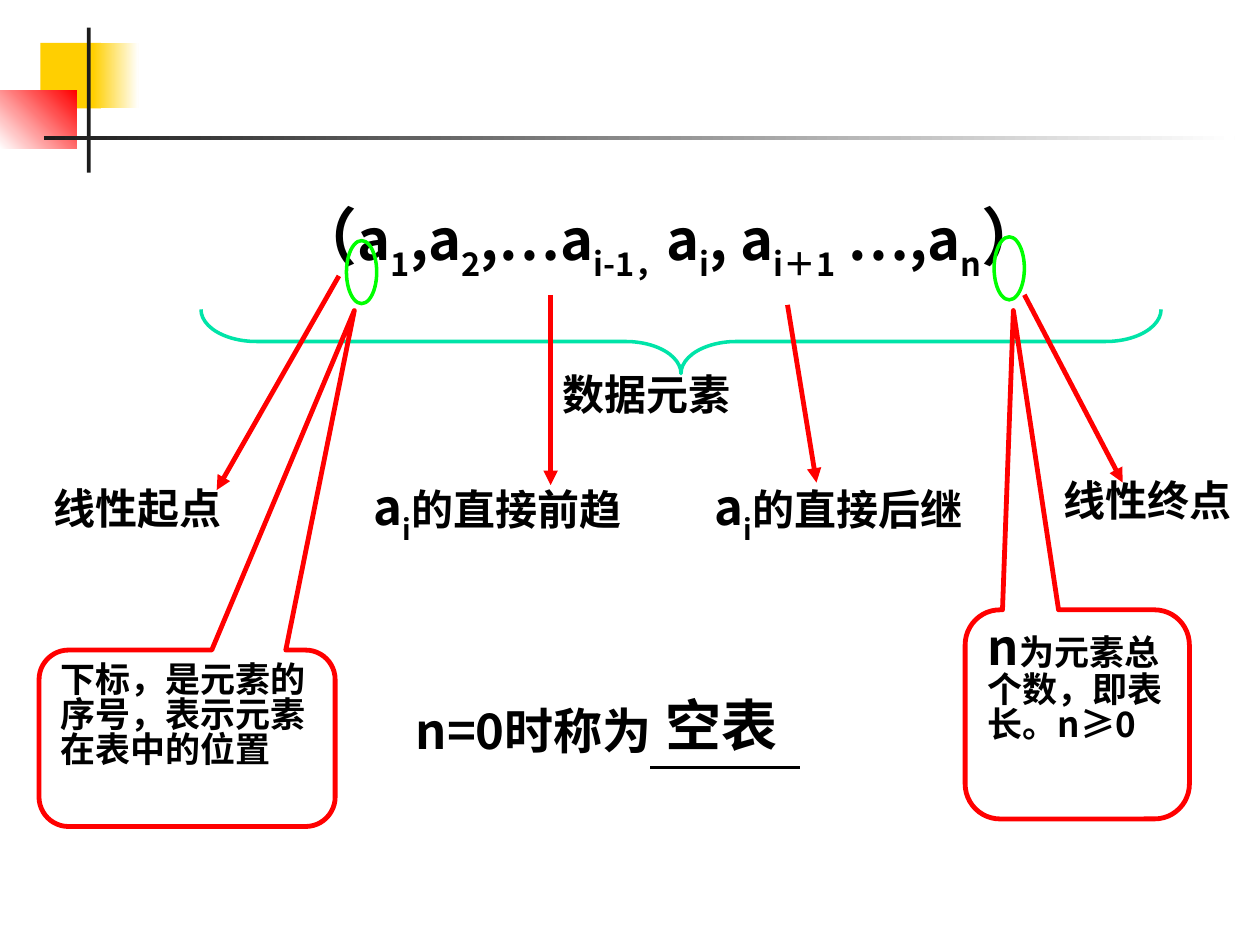
from dataclasses import dataclass

from pptx import Presentation
from pptx.dml.color import RGBColor
from pptx.enum.shapes import MSO_CONNECTOR, MSO_SHAPE
from pptx.enum.text import MSO_ANCHOR, PP_ALIGN
from pptx.oxml.ns import qn
from pptx.util import Inches, Pt

RECT = MSO_SHAPE.RECTANGLE
OVAL = MSO_SHAPE.OVAL
BRACE = MSO_SHAPE.LEFT_BRACE
CALLOUT = MSO_SHAPE.ROUNDED_RECTANGULAR_CALLOUT
STRAIGHT = MSO_CONNECTOR.STRAIGHT
TOP, MIDDLE = MSO_ANCHOR.TOP, MSO_ANCHOR.MIDDLE
LEFT, CENTER = PP_ALIGN.LEFT, PP_ALIGN.CENTER


@dataclass(frozen=True)
class Theme:
    """Colours, font and type sizes of the slide."""
    font: str = "Noto Sans CJK SC"
    text: str = "000000"
    dark: str = "1C1C1C"
    white: str = "FFFFFF"
    yellow: str = "FFCF01"
    red: str = "FF0000"
    green: str = "00FF00"
    teal: str = "00E4A8"
    paren: int = 36
    formula: int = 32
    large: int = 28
    label: int = 24
    note: int = 20
    spacing: float = 0.83


T = Theme()


def rgb(value):
    """Turn a hex string into a colour."""
    return RGBColor.from_string(value)


def write(sp, runs, align=CENTER, anchor=MIDDLE):
    """Fill a shape with one paragraph of (text, size, is_subscript) runs."""
    tf = sp.text_frame
    for name, value in {"word_wrap": True, "vertical_anchor": anchor}.items():
        setattr(tf, name, value)
    p = tf.paragraphs[0]
    for name, value in {"alignment": align, "line_spacing": T.spacing}.items():
        setattr(p, name, value)
    for text, size, sub in runs:
        r = p.add_run()
        r.text = text
        for name, value in {"name": T.font, "size": Pt(size), "bold": True}.items():
            setattr(r.font, name, value)
        r.font.color.rgb = rgb(T.text)
        rPr = r.font._element
        ea = rPr.makeelement(qn("a:ea"), {"typeface": T.font})
        rPr.find(qn("a:latin")).addnext(ea)
        if sub:
            rPr.set("baseline", "-30000")


def add_text(slide, box, runs, anchor=MIDDLE):
    """Add a centred text box."""
    write(slide.shapes.add_textbox(*map(Inches, box)), runs, anchor=anchor)


def add_block(slide, box, colors, angle=0):
    """Add a borderless rectangle in one colour or a two-colour gradient."""
    sp = slide.shapes.add_shape(RECT, *map(Inches, box))
    sp.shadow.inherit = False
    sp.line.fill.background()
    if len(colors) == 1:
        sp.fill.solid()
        sp.fill.fore_color.rgb = rgb(colors[0])
        return
    sp.fill.gradient()
    sp.fill.gradient_angle = angle
    for stop, color in zip(sp.fill.gradient_stops, colors):
        stop.color.rgb = rgb(color)


def add_outline(slide, kind, box, color, width, adjustments=()):
    """Add an unfilled preset shape."""
    sp = slide.shapes.add_shape(kind, *map(Inches, box))
    sp.shadow.inherit = False
    sp.fill.background()
    sp.line.color.rgb = rgb(color)
    sp.line.width = Pt(width)
    for i, value in enumerate(adjustments):
        sp.adjustments[i] = value
    return sp


def add_line(slide, start, end, color, width, arrow=False):
    """Add a straight line, with an arrowhead at its end if wanted."""
    cx = slide.shapes.add_connector(STRAIGHT, *map(Inches, start + end))
    cx.line.color.rgb = rgb(color)
    cx.line.width = Pt(width)
    spPr = cx._element.spPr
    spPr.append(spPr.makeelement(qn("a:effectLst"), {}))
    if arrow:
        ln = cx.line._get_or_add_ln()
        ln.append(ln.makeelement(qn("a:tailEnd"), {"type": "triangle"}))


def add_callout(slide, box, adjustments, runs):
    """Add a red rounded callout with a note in it."""
    sp = add_outline(slide, CALLOUT, box, T.red, 2.75, adjustments)
    write(sp, runs, LEFT, TOP)


def add_decoration(slide):
    """Draw the corner squares and the two rules."""
    add_block(slide, (0.32, 0.34, 0.48, 0.52), [T.yellow])
    add_block(slide, (0.74, 0.34, 0.36, 0.52), [T.yellow, T.white])
    add_block(slide, (0, 0.72, 0.61, 0.46), [T.white, T.red], 45)
    add_block(slide, (0.69, 0.22, 0.03, 1.15), [T.dark])
    add_block(slide, (0.35, 1.08, 9.45, 0.03), [T.dark, T.white])


def add_formula(slide):
    """Write the list formula with its alternating subscripts."""
    parts = ["a", "1", ",a", "2", ",…a", "i-1，", "a", "i", ", a", "i＋1", " …,a", "n"]
    runs = [(text, T.formula, i % 2 == 1) for i, text in enumerate(parts)]
    runs = [("（", T.paren, False), *runs, ("）", T.paren, False)]
    add_text(slide, (0.94, 1.56, 8.75, 1.09), runs, TOP)


def main():
    """Build and save the slide."""
    prs = Presentation()
    prs.slide_width, prs.slide_height = Inches(10), Inches(7.5)
    slide = prs.slides.add_slide(prs.slide_layouts[6])
    add_decoration(slide)
    add_formula(slide)

    brace = add_outline(slide, BRACE, (5.15, -1.1, 0.51, 7.62), T.teal, 2, (0.862, 0.5))
    brace.rotation = 270

    for text, size, box in [
        ("n=0时称为", T.large, (2.97, 5.55, 2.53, 0.57)),
        ("空表", T.formula, (5.16, 5.47, 1.13, 0.64)),
        ("数据元素", T.label, (4.28, 2.91, 1.71, 0.5)),
        ("线性起点", T.label, (0.24, 3.81, 1.7, 0.5)),
        ("线性终点", T.label, (8.22, 3.75, 1.78, 0.5)),
    ]:
        add_text(slide, box, [(text, size, False)])
    for text, left, width in [("的直接前趋", 2.73, 2.44), ("的直接后继", 5.47, 2.37)]:
        runs = [("a", T.large, False), ("i", T.large, True), (text, T.label, False)]
        add_text(slide, (left, 3.75, width, 0.57), runs)

    for start, end in [
        ((2.69, 2.19), (1.72, 3.89)),
        ((8.13, 2.34), (8.91, 3.83)),
        ((4.37, 2.34), (4.37, 3.85)),
        ((6.25, 2.42), (6.48, 3.83)),
    ]:
        add_line(slide, start, end, T.red, 2.75, arrow=True)

    add_callout(slide, (0.31, 5.16, 2.35, 1.4), (0.565, -2.425, 0.167),
                [("下标，是元素的序号，表示元素在表中的位置", T.note, False)])
    add_callout(slide, (7.66, 4.84, 1.78, 1.66), (-0.285, -1.931, 0.167),
                [("n", T.large, False), ("为元素总个数，即表长。n≥0", T.note, False)])

    for left, top in [(2.75, 1.91), (7.89, 1.88)]:
        add_outline(slide, OVAL, (left, top, 0.24, 0.5), T.green, 2)
    add_line(slide, (5.16, 6.09), (6.35, 6.09), T.text, 1.75)
    prs.save("out.pptx")


if __name__ == "__main__":
    main()
